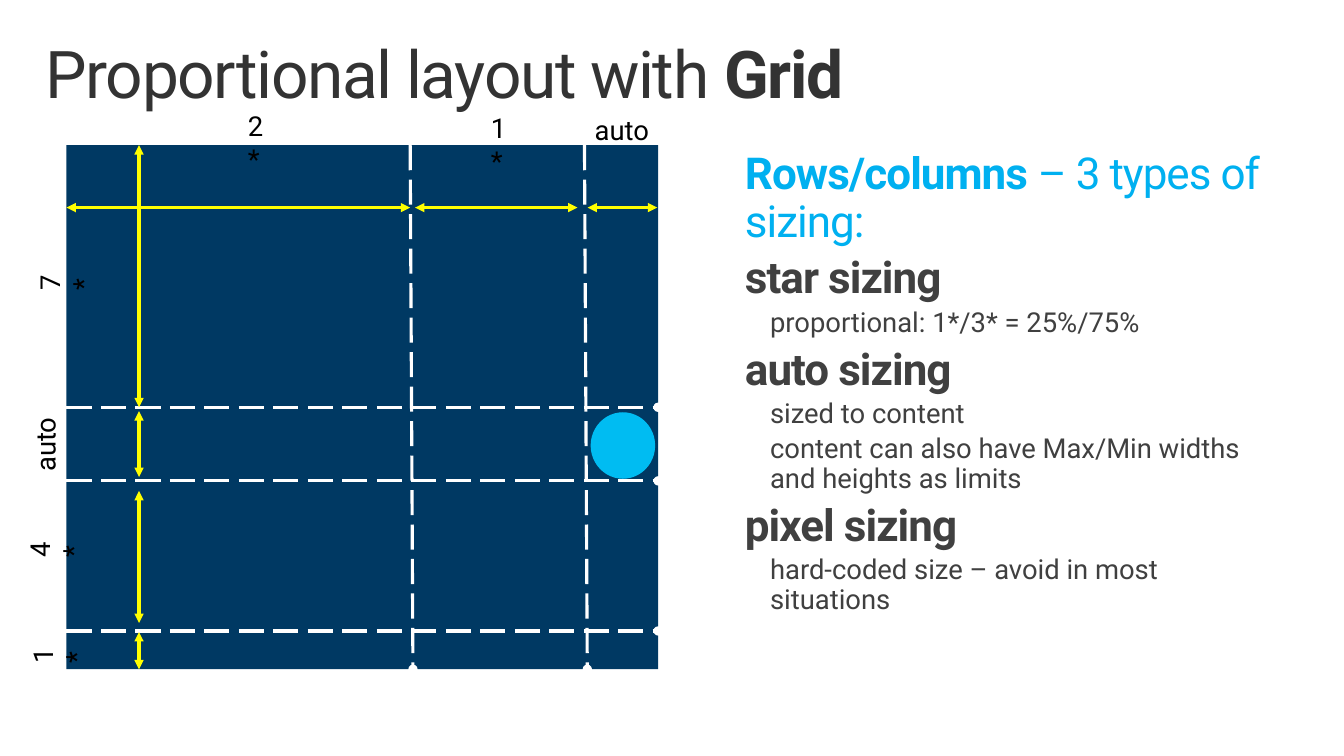
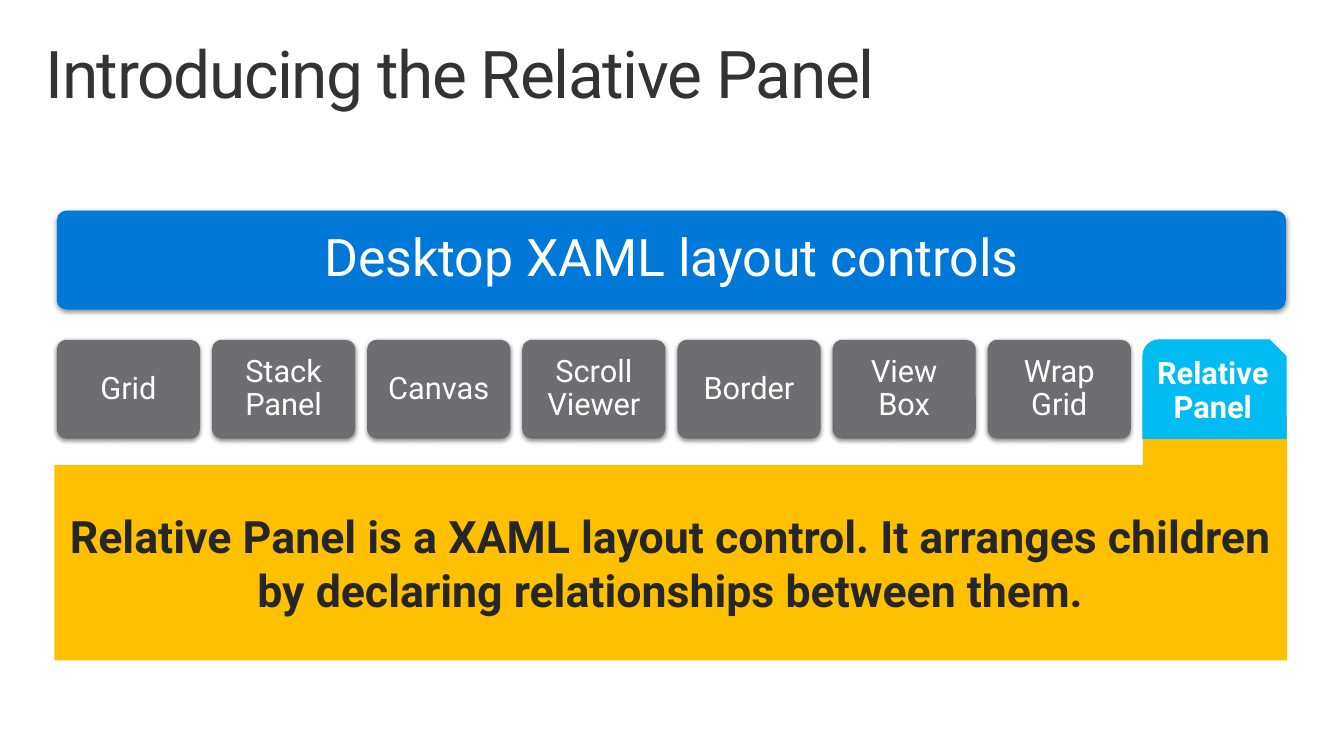
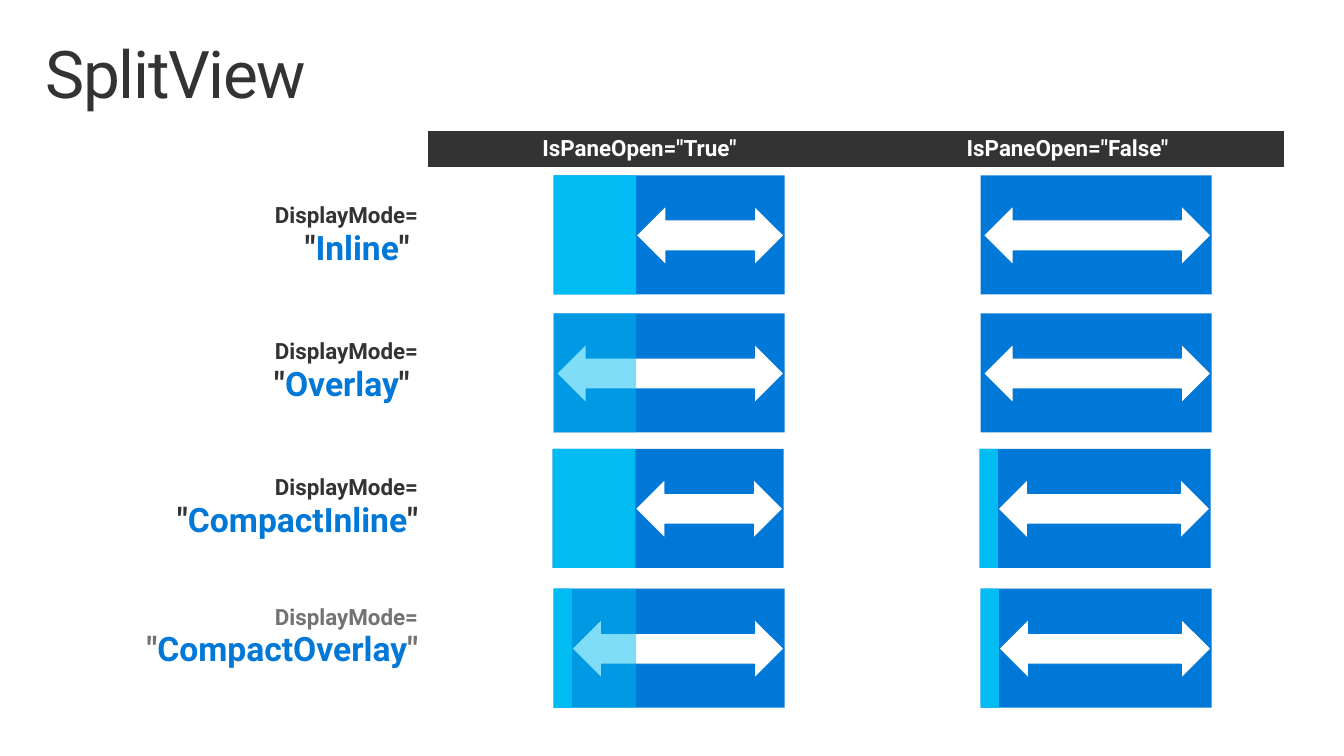
from pptx import Presentation
from pptx.dml.color import RGBColor
from pptx.enum.dml import MSO_LINE
from pptx.enum.shapes import MSO_CONNECTOR, MSO_SHAPE
from pptx.enum.text import MSO_ANCHOR, PP_ALIGN
from pptx.oxml import parse_xml
from pptx.oxml.ns import nsdecls, qn
from pptx.util import Pt
from lxml.etree import SubElement

FONT = "Roboto"
DARK, WHITE, BLACK = "333333", "FFFFFF", "000000"
BLUE, CYAN, NAVY = "0078D7", "00BCF2", "003963"
HEADING, BODY, INK = "00B0F0", "404040", "262626"
YELLOW, AMBER, GREY, MUTED = "FFFF00", "FFC000", "6E6D71", "737373"
NO_STYLE = "{2D5ABB26-0587-4C30-8999-92F81FD0307C}"


def rgb(value):
    return RGBColor.from_string(value)


def add_run(p, text, size, color, bold=False, spacing=0):
    r = p.add_run()
    r.text = text
    r.font.name = FONT
    r.font.size = Pt(size)
    r.font.bold = bold
    r.font.color.rgb = rgb(color)
    if spacing:
        r.font._element.set("spc", str(round(spacing * 100)))
    return r


def set_frame(tf, inset_x, inset_y, anchor=MSO_ANCHOR.TOP):
    tf.word_wrap = True
    tf.margin_left = tf.margin_right = Pt(inset_x)
    tf.margin_top = tf.margin_bottom = Pt(inset_y)
    tf.vertical_anchor = anchor


def add_text(s, x, y, w, h, inset_x=0, inset_y=0):
    sp = s.shapes.add_textbox(Pt(x), Pt(y), Pt(w), Pt(h))
    set_frame(sp.text_frame, inset_x, inset_y)
    return sp


def add_box(s, kind, x, y, w, h, fill, alpha=100, line=None, width=0.75):
    sp = s.shapes.add_shape(kind, Pt(x), Pt(y), Pt(w), Pt(h))
    sp.shadow.inherit = False
    sp.fill.solid()
    sp.fill.fore_color.rgb = rgb(fill)
    if alpha < 100:
        color = sp._element.spPr.find(".//" + qn("a:srgbClr"))
        SubElement(color, qn("a:alpha"), val=str(alpha * 1000))
    if line:
        sp.line.color.rgb = rgb(line)
        sp.line.width = Pt(width)
    else:
        sp.line.fill.background()
    return sp


def center_text(sp, text, size, color, inset, bold=False, spacing=None):
    tf = sp.text_frame
    set_frame(tf, inset, inset, MSO_ANCHOR.MIDDLE)
    p = tf.paragraphs[0]
    p.alignment = PP_ALIGN.CENTER
    p.line_spacing = spacing
    add_run(p, text, size, color, bold)


def add_line(s, x1, y1, x2, y2, color, head=None, tail=None, dash=None):
    cx = s.shapes.add_connector(MSO_CONNECTOR.STRAIGHT, Pt(x1), Pt(y1), Pt(x2), Pt(y2))
    cx.line.color.rgb = rgb(color)
    cx.line.width = Pt(2.25)
    if dash:
        cx.line.dash_style = dash
    ln = cx.line._get_or_add_ln()
    for tag, end in (("a:headEnd", head), ("a:tailEnd", tail)):
        if end:
            SubElement(ln, qn(tag), type=end)
    SubElement(cx._element.spPr, qn("a:effectLst"))


def add_shadow(sp):
    effects = sp._element.spPr.find(qn("a:effectLst"))
    effects.append(parse_xml(
        f'<a:outerShdw {nsdecls("a")} blurRad="{Pt(3.5)}" dist="{Pt(1.1)}" dir="5400000" '
        f'algn="t" rotWithShape="0"><a:srgbClr val="{BLACK}"><a:alpha val="45000"/>'
        '</a:srgbClr></a:outerShdw>'))


def add_slide(prs, *title):
    s = prs.slides.add_slide(prs.slide_layouts[6])
    p = add_text(s, 21, 22.5, 918, 70.5, 11.5, 7.2).text_frame.paragraphs[0]
    p.line_spacing = 0.9
    for i, text in enumerate(title):
        add_run(p, text, 47, DARK, i == 1, -1)
    return s


def grid_diagram(s, x, y, w, h):
    add_box(s, MSO_SHAPE.RECTANGLE, x, y, w, h, NAVY)
    lean = 2
    for column in (245.5, 370):
        add_line(s, x + column, y, x + column + lean, y + h, WHITE,
                 tail="oval", dash=MSO_LINE.LONG_DASH)
    for row in (187.2, 239.8, 347):
        add_line(s, x, y + row, x + w, y + row, WHITE,
                 tail="oval", dash=MSO_LINE.LONG_DASH)
    columns = [("2*", 0, 245.5, 129.6, -26), ("1*", 249, 365, 303.1, -24.5),
               ("auto", 372.2, 422, 377.3, -22.6)]
    rows = [("7*", 0, 187.2, -21.6, 82.8), ("auto", 190, 237, -35.3, 201.6),
            ("4*", 247, 341.3, -28.8, 272.9), ("1*", 347.8, 374.4, -26.6, 349.2)]
    for tracks, vertical in ((columns, False), (rows, True)):
        for label, start, end, left, top in tracks:
            if vertical:
                ends = x + 51.8, y + start, x + 51.8, y + end
            else:
                ends = x + start, y + 44.6, x + end, y + 44.6
            add_line(s, *ends, YELLOW, head="triangle", tail="triangle")
            sp = add_text(s, x + left, y + top, 39.6 if label == "auto" else 18.7, 23.8)
            sp.rotation = 270 if vertical else 0
            add_run(sp.text_frame.paragraphs[0], label, 19.6, BLACK)
    add_box(s, MSO_SHAPE.OVAL, x + 374.4, y + 190.8, 46.1, 47.5, CYAN)


def sizing_notes(s, x, y, w, h):
    tf = add_text(s, x, y, w, h, 7.2, 3.6).text_frame
    p = tf.paragraphs[0]
    p.line_spacing = 0.9
    add_run(p, "Rows/columns ", 31.4, HEADING, True, -0.7)
    add_run(p, "– 3 types of sizing:", 31.4, HEADING, False, -0.7)
    sections = [
        ("star sizing", ["proportional: 1*/3* = 25%/75%"]),
        ("auto sizing", ["sized to content",
                         "content can also have Max/Min widths and heights as limits"]),
        ("pixel sizing", ["hard-coded size – avoid in most situations"]),
    ]
    for heading, details in sections:
        p = tf.add_paragraph()
        p.line_spacing = 0.9
        p.space_before = Pt(6.3)
        add_run(p, heading, 31.4, BODY, True, -0.7)
        for detail in details:
            p = tf.add_paragraph()
            p.level = 1
            p._p.get_or_add_pPr().set("marL", str(Pt(18)))
            p.line_spacing = 0.9
            p.space_before = Pt(3.9)
            add_run(p, detail, 19.6, BODY)


def callout(s, x, y, w, h, tab_w):
    add_box(s, MSO_SHAPE.RECTANGLE, x + w - tab_w, y - 35.3, tab_w, 40.3, AMBER)
    sp = add_box(s, MSO_SHAPE.RECTANGLE, x, y, w, h, AMBER)
    center_text(sp, "Relative Panel is a XAML layout control. It arranges children "
                "by declaring relationships between them.", 31.9, INK, 9, True)


def control_cards(s, x, y, w, h):
    banner = add_box(s, MSO_SHAPE.ROUNDED_RECTANGLE, x, y, w, h, BLUE)
    banner.adjustments[0] = 0.1
    add_shadow(banner)
    center_text(banner, "Desktop XAML layout controls", 37, WHITE, 10.8, spacing=0.9)
    names = ["Grid", "Stack Panel", "Canvas", "Scroll Viewer", "Border",
             "View Box", "Wrap Grid", "Relative Panel"]
    card_w = 102.3
    step = (w - card_w) / (len(names) - 1)
    card_y = y + 92.2
    for i, name in enumerate(names):
        box = x + i * step, card_y, card_w, h
        if name == names[-1]:
            sp = add_box(s, MSO_SHAPE.SNIP_ROUND_RECTANGLE, *box, CYAN, line=CYAN)
            center_text(sp, name, 22, WHITE, 4, True, 0.9)
        else:
            sp = add_box(s, MSO_SHAPE.ROUNDED_RECTANGLE, *box, GREY)
            sp.adjustments[0] = 0.1
            add_shadow(sp)
            center_text(sp, name, 22, WHITE, 8.6, spacing=0.9)


def mode_table(s, x, y, w, modes):
    header_h, row_h = 25.6, 97.2
    height = header_h + row_h * len(modes)
    frame = s.shapes.add_table(len(modes) + 1, 3, Pt(x), Pt(y), Pt(w), Pt(height))
    table = frame.table
    table.first_row = table.horz_banding = False
    table._tbl.tblPr.find(qn("a:tableStyleId")).text = NO_STYLE
    for row in table.rows:
        row.height = Pt(row_h)
    table.rows[0].height = Pt(header_h)
    for cell in table.iter_cells():
        cell.fill.background()
        cell.vertical_anchor = MSO_ANCHOR.MIDDLE
    for i, heading in enumerate(("", 'IsPaneOpen="True" ', 'IsPaneOpen="False" ')):
        cell = table.cell(0, i)
        cell.margin_top = cell.margin_bottom = 0
        if heading:
            cell.fill.solid()
            cell.fill.fore_color.rgb = rgb(DARK)
            p = cell.text_frame.paragraphs[0]
            p.alignment = PP_ALIGN.CENTER
            add_run(p, heading, 16, WHITE, True)
    for i, (name, closing, color, bottom) in enumerate(modes, 1):
        cell = table.cell(i, 0)
        cell.margin_bottom = Pt(bottom)
        p = cell.text_frame.paragraphs[0]
        p.alignment = PP_ALIGN.RIGHT
        add_run(p, "DisplayMode=", 16, color, True)
        p.add_line_break()
        add_run(p, '"', 24, color, True)
        add_run(p, name, 24, BLUE, True)
        add_run(p, closing, 24, color, True)


def split_view(s, x, y, strips):
    w, h = 165, 85
    start = max([2] + [strip_w for strip_w, alpha in strips if alpha == 100])
    add_box(s, MSO_SHAPE.RECTANGLE, x, y, w, h, BLUE)
    arrow = add_box(s, MSO_SHAPE.LEFT_RIGHT_ARROW, x + start, y + 21.6, w - start - 0.5, 42.5,
                    WHITE, line=BLUE, width=0.85)
    arrow.adjustments[0] = 0.52
    arrow.adjustments[1] = 0.5
    for strip_w, alpha in strips:
        add_box(s, MSO_SHAPE.RECTANGLE, x, y, strip_w, h, CYAN, alpha)


def split_views(s, x, y, closed_dx):
    pane, rail = (59, 100), (13, 100)
    overlay = (59, 50)
    rows = [(0, 0, [pane], []), (0, 98.6, [overlay], []),
            (-0.7, 195.3, [pane], [rail]), (0, 295.2, [overlay, rail], [rail])]
    for dx, dy, opened, closed in rows:
        split_view(s, x + dx, y + dy, opened)
        split_view(s, x + dx + closed_dx, y + dy, closed)


def main():
    prs = Presentation()
    prs.slide_width, prs.slide_height = Pt(960), Pt(540)

    s = add_slide(prs, "Proportional layout with ", "Grid")
    grid_diagram(s, 47.5, 103.7, 422.6, 374.4)
    sizing_notes(s, 525, 105, 382.3, 400)

    s = add_slide(prs, "Introducing the Relative Panel")
    callout(s, 38.9, 332, 880.5, 139.7, 103)
    control_cards(s, 40.6, 150.5, 878, 70.6)

    s = add_slide(prs, "SplitView")
    mode_table(s, 0, 93.6, 917.5, [
        ("Inline", '" ', DARK, 2.5),
        ("Overlay", '" ', DARK, 2.5),
        ("CompactInline", '"', DARK, 2.5),
        ("CompactOverlay", '"', MUTED, 12),
    ])
    split_views(s, 395.5, 125.3, 305)

    prs.save("out.pptx")


if __name__ == "__main__":
    main()
